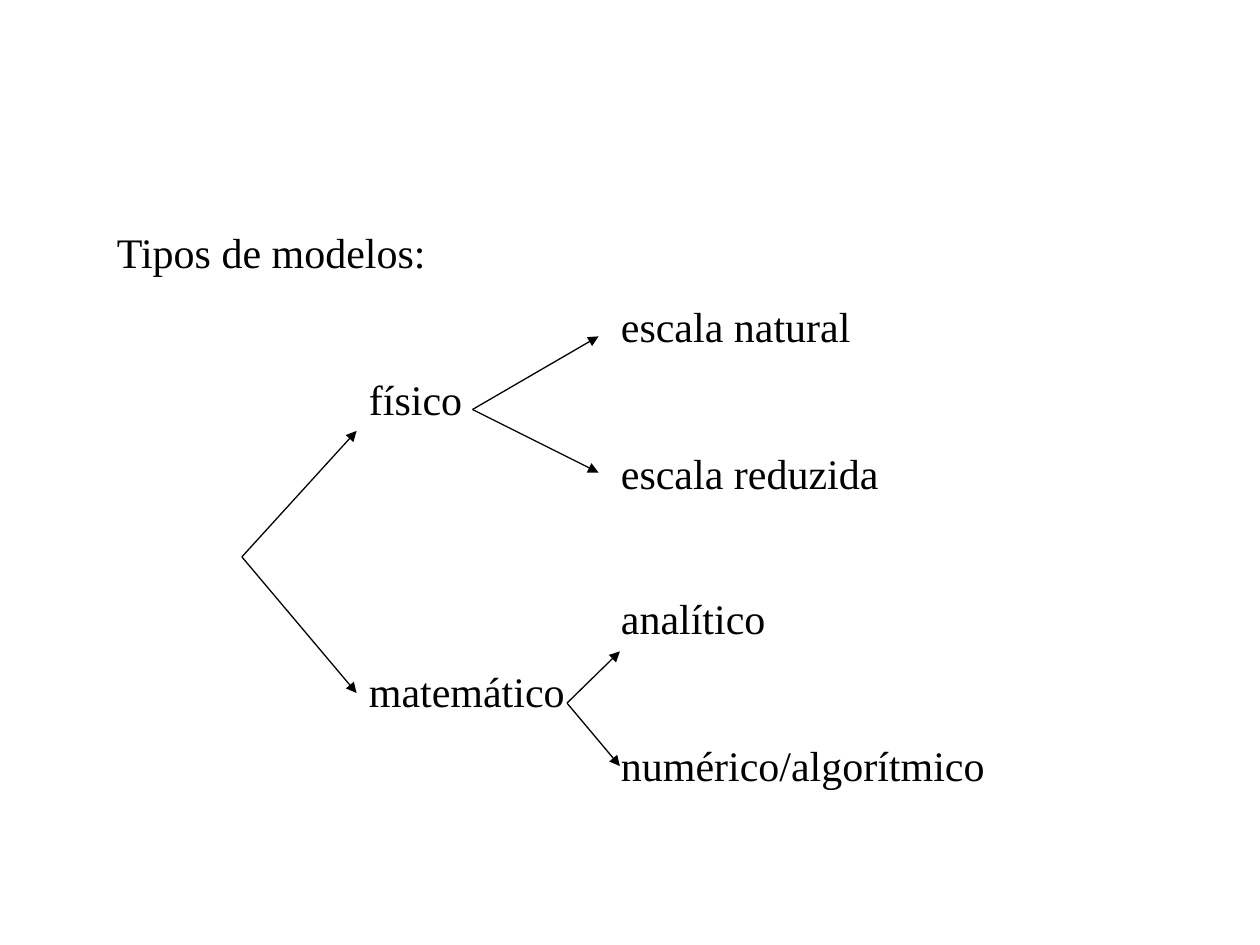
from lxml import etree
from pptx import Presentation
from pptx.dml.color import RGBColor
from pptx.enum.shapes import MSO_CONNECTOR
from pptx.oxml.ns import qn
from pptx.util import Inches, Pt

COLORS = {"ink": "000000"}
FONT = "Times New Roman"
GAP, LINE = 13.2, 27.6  # points: space between rows, height of a row

# Outline: text, indent in inches, space before in points
ROWS = [
    ("Tipos de modelos:", 0, 0),
    ("escala natural", 4, GAP),
    ("físico", 2, GAP),
    ("escala reduzida", 4, GAP),
    ("analítico", 4, 2 * GAP + LINE),
    ("matemático", 2, GAP),
    ("numérico/algorítmico", 4, GAP),
]

# Forks: start point, then the two arrow tips
FORKS = [
    ((3.75, 3.25), [(4.75, 2.67), (4.75, 3.75)]),
    ((4.5, 5.58), [(4.92, 5.17), (4.92, 6.08)]),
    ((1.92, 4.42), [(2.83, 3.42), (2.83, 5.5)]),
]


def add_text(p, text, size=24, color="ink", indent=0, before=0):
    p.space_before = Pt(before)
    pPr = p._p.get_or_add_pPr()
    pPr.set("marL", str(Inches(indent)))
    pPr.set("indent", "0")
    r = p.add_run()
    r.text = text
    r.font.name = FONT
    r.font.size = Pt(size)
    r.font.color.rgb = RGBColor.from_string(COLORS[color])


def add_arrow(s, start, tip):
    c = s.shapes.add_connector(MSO_CONNECTOR.STRAIGHT,
                               *(Inches(v) for v in start + tip))
    c.line.color.rgb = RGBColor.from_string(COLORS["ink"])
    c.line.width = Pt(0.75)
    etree.SubElement(c.line._get_or_add_ln(), qn("a:tailEnd"), type="triangle")
    etree.SubElement(c._element.spPr, qn("a:effectLst"))


prs = Presentation()
prs.slide_width, prs.slide_height = Inches(10), Inches(7.5)
s = prs.slides.add_slide(prs.slide_layouts[6])

# Outline text
sp = s.shapes.add_textbox(Inches(0.83), Inches(1.75), Inches(8.67), Inches(5.29))
tf = sp.text_frame
tf.word_wrap = True
for i, (text, indent, before) in enumerate(ROWS):
    p = tf.add_paragraph() if i else tf.paragraphs[0]
    add_text(p, text, indent=indent, before=before)

# Arrows
for start, tips in FORKS:
    for tip in tips:
        add_arrow(s, start, tip)

prs.save("out.pptx")
